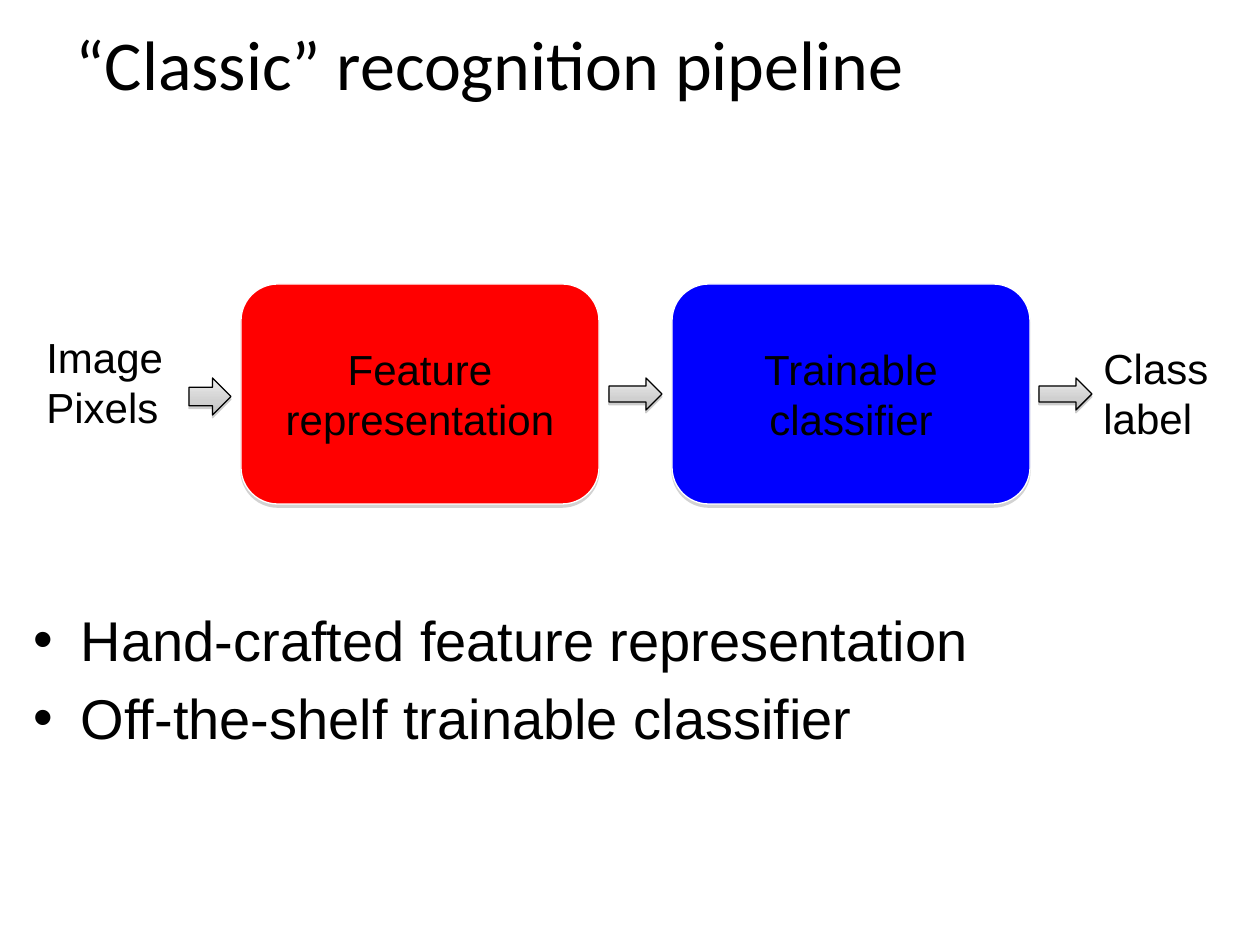
import copy
import lxml.etree
import pptx
import pptx.dml.color
import pptx.enum.shapes
import pptx.enum.text
import pptx.oxml
import pptx.oxml.ns
import pptx.util

PX = 914400 / 126
KIND = pptx.enum.shapes.MSO_SHAPE
ALIGN = pptx.enum.text.PP_ALIGN
MID = pptx.enum.text.MSO_ANCHOR.MIDDLE


def tint(color, code):
    color.rgb = pptx.dml.color.RGBColor.from_string(code)


def style(frame, size, face, align):
    frame.word_wrap = True
    for para in frame.paragraphs:
        para.alignment = align
        values = {"size": pptx.util.Pt(size), "name": face}
        for key, value in values.items():
            setattr(para.font, key, value)
        tint(para.font.color, "000000")


deck = pptx.Presentation()
deck.slide_width, deck.slide_height = round(1260 * PX), round(945 * PX)
slide = deck.slides.add_slide(deck.slide_layouts[1])
shapes = slide.shapes

# Title and list
title, body = shapes.title, slide.placeholders[1]
title.text_frame.text = "“Classic” recognition pipeline"
body.text_frame.text = (
    "Hand-crafted feature representation\nOff-the-shelf trainable classifier"
)
for holder, box, size, face in (
    (title, (63, 0, 1134, 126), 40, "Calibri"),
    (body, (21, 599, 1218, 231), 32, "Arial"),
):
    for key, value in zip(("left", "top", "width", "height"), box):
        setattr(holder, key, round(value * PX))
    style(holder.text_frame, size, face, ALIGN.LEFT)
body.text_frame.paragraphs[0].space_before = pptx.util.Pt(0)

# Stages and arrows: kind, box, fill, line, shadow alpha and offset, words
stage, arrow = KIND.ROUNDED_RECTANGLE, KIND.RIGHT_ARROW
steps = (
    (stage, (241, 284, 358, 220), "FF0000", "FFFFFF", 35, 1.8,
     "Feature representation"),
    (stage, (672, 284, 358, 220), "0000FF", "FFFFFF", 35, 1.8,
     "Trainable\vclassifier"),
    (arrow, (189, 378, 42, 37), None, "000000", 38, 1.6, ""),
    (arrow, (609, 378, 53, 32), None, "000000", 38, 1.6, ""),
    (arrow, (1039, 378, 53, 32), None, "000000", 38, 1.6, ""),
)
for kind, box, fill, line, alpha, drop, words in steps:
    shape = shapes.add_shape(kind, *(round(n * PX) for n in box))
    if fill:
        shape.fill.solid()
        tint(shape.fill.fore_color, fill)
    else:
        # Grey gradient from top to bottom, with a third stop in the middle
        shape.fill.gradient()
        shape.fill.gradient_angle = 270
        stops = shape.fill.gradient_stops
        first = shape.element.spPr.find(".//" + pptx.oxml.ns.qn("a:gs"))
        first.addnext(copy.deepcopy(first))
        stops = shape.fill.gradient_stops
        shades = ((0, "EDEDED"), (0.65, "D0D0D0"), (1, "BCBCBC"))
        for stop, (place, shade) in zip(stops, shades):
            stop.position = place
            tint(stop.color, shade)
    tint(shape.line.color, line)
    shape.line.width = pptx.util.Pt(0.75)

    # Soft grey drop shadow
    shape.shadow.inherit = False
    effect = shape.element.spPr.find(pptx.oxml.ns.qn("a:effectLst"))
    effect.append(pptx.oxml.parse_xml(
        f'<a:outerShdw {pptx.oxml.ns.nsdecls("a")} blurRad="0" '
        f'dist="{pptx.util.Pt(drop)}" dir="5400000" rotWithShape="0">'
        f'<a:srgbClr val="808080"><a:alpha val="{alpha * 1000}"/>'
        '</a:srgbClr></a:outerShdw>'
    ))
    if words:
        shape.text_frame.text = words
        shape.text_frame.vertical_anchor = MID
        style(shape.text_frame, 24, "Arial", ALIGN.CENTER)

# Input and output labels
for box, words in (
    ((34, 325, 249, 115), "Image\nPixels"),
    ((1091, 336, 169, 115), "Class label"),
):
    label = shapes.add_textbox(*(round(n * PX) for n in box))
    label.text_frame.text = words
    style(label.text_frame, 24, "Arial", ALIGN.LEFT)

deck.save("out.pptx")
